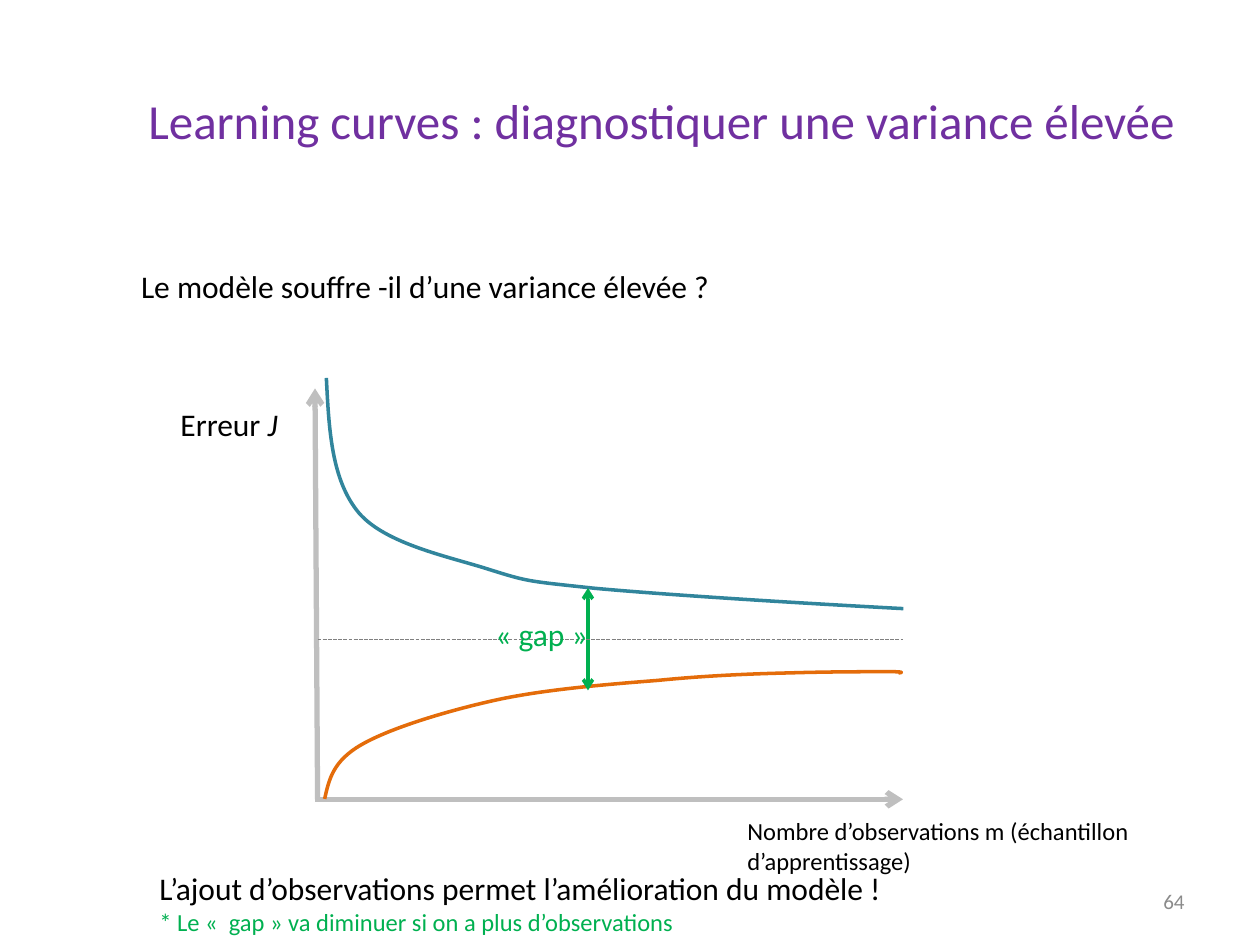
from lxml import etree
from pptx import Presentation
from pptx.dml.color import RGBColor
from pptx.enum import dml, shapes, text
from pptx.oxml.ns import qn
from pptx.util import Pt

COLORS = {"title": "7030A0", "text": "000000", "number": "8B8B8B", "axis": "BFBFBF",
          "train": "E46C0A", "test": "31859C", "gap": "00B050", "target": "808080"}

prs = Presentation()
prs.slide_width, prs.slide_height = Pt(720), Pt(540)
slide = prs.slides.add_slide(prs.slide_layouts[5])


def add_label(box, lines, align=text.PP_ALIGN.LEFT):
    """Add a text box; each line is (wording, size, color)."""
    frame = slide.shapes.add_textbox(*map(Pt, box)).text_frame
    frame.word_wrap = True
    frame.text = "\n".join(wording for wording, _, _ in lines)
    for paragraph, (_, size, color) in zip(frame.paragraphs, lines):
        paragraph.alignment = align
        font = paragraph.runs[0].font
        font.name, font.size = "Calibri", Pt(size)
        font.color.rgb = RGBColor.from_string(COLORS[color])
    return frame


def add_line(start, end, color, width, arrows=()):
    line = slide.shapes.add_connector(shapes.MSO_CONNECTOR.STRAIGHT, *map(Pt, start + end))
    line.line.color.rgb = RGBColor.from_string(COLORS[color])
    line.line.width = Pt(width)
    for arrow in arrows:
        etree.SubElement(line.line._get_or_add_ln(), qn(f"a:{arrow}"), type="arrow")
    etree.SubElement(line._element.spPr, qn("a:effectLst"))
    return line


# Title
title = slide.shapes.title
title.left, title.top, title.width, title.height = Pt(54), Pt(48), Pt(648), Pt(75)
title.text_frame.text = "Learning curves : diagnostiquer une variance élevée"
title.text_frame.vertical_anchor = text.MSO_ANCHOR.TOP
title_font = title.text_frame.paragraphs[0].runs[0].font
title_font.name, title_font.size = "Calibri", Pt(28)
title_font.color.rgb = RGBColor.from_string(COLORS["title"])

# Slide number and conclusion
number = add_label((516, 500.5, 168, 28.75), [("64", 12, "number")], text.PP_ALIGN.RIGHT)
number.vertical_anchor = text.MSO_ANCHOR.MIDDLE
add_label((84, 493, 582, 46), [
    ("L’ajout d’observations permet l’amélioration du modèle !", 18, "text"),
    ("* Le «  gap » va diminuer si on a plus d’observations", 14, "gap")])

# Axes and their labels
add_line((181.5, 456.75), (180, 222), "axis", 3, ["tailEnd"])
add_line((180, 456.75), (516, 456.75), "axis", 3, ["tailEnd"])
add_label((420, 463, 294, 41),
          [("Nombre d’observations m (échantillon d’apprentissage)", 14, "text")])
error_label = add_label((96, 228, 84, 29), [("Erreur ", 18, "text")])
symbol = error_label.paragraphs[0].add_run()
symbol.text = "J"
symbol.font.name, symbol.font.size, symbol.font.italic = "Calibri", Pt(18), True
symbol.font.color.rgb = RGBColor.from_string(COLORS["text"])

# Error curves: a start point, then three points per cubic Bézier
curves = {
    "train": [(185.5, 456.5), (188, 445.7), (190, 435), (206.6, 425.5),
              (223, 416), (256, 406), (284.4, 399.8),
              (312.5, 393.8), (347.8, 391), (375.8, 388.8),
              (404, 386), (430, 385), (452, 384.5),
              (474, 383.8), (499, 383.8), (509, 383.8),
              (516.5, 383.8), (516, 384.5), (513.4, 384.5)],
    "test": [(186.5, 216), (188, 245.5), (189.4, 274.3), (205, 293),
             (220.3, 311), (257, 318.2), (279.4, 325.4),
             (302.4, 332.6), (301, 332), (339.8, 336.2),
             (379.4, 339.8), (447.8, 344.2), (516.2, 347.8)],
}
for name, points in curves.items():
    start, *controls = [tuple(map(Pt, point)) for point in points]
    builder = slide.shapes.build_freeform(*start)
    builder.add_line_segments(controls, close=False)
    curve = builder.convert_to_shape()

    # Merge each three straight steps into one Bézier step
    steps = list(curve._element.iter(qn("a:lnTo")))
    for first in range(0, len(steps), 3):
        bezier = etree.Element(qn("a:cubicBezTo"))
        steps[first].addprevious(bezier)
        for step in steps[first:first + 3]:
            bezier.append(step[0])
            step.getparent().remove(step)

    curve.shadow.inherit = False
    curve.fill.background()
    curve.line.color.rgb = RGBColor.from_string(COLORS[name])
    curve.line.width = Pt(2)

# Gap between the curves, and target level
add_line((336, 336), (336, 394.5), "gap", 2, ["headEnd", "tailEnd"])
target = add_line((181.5, 365.25), (516, 365.25), "target", 0.75)
target.line.dash_style = dml.MSO_LINE.SQUARE_DOT
add_label((276, 348, 90, 29), [("« gap »", 18, "gap")])

# Question
add_label((73.5, 149, 372, 29),
          [("Le modèle souffre -il d’une variance élevée ?", 18, "text")])

prs.save("out.pptx")
